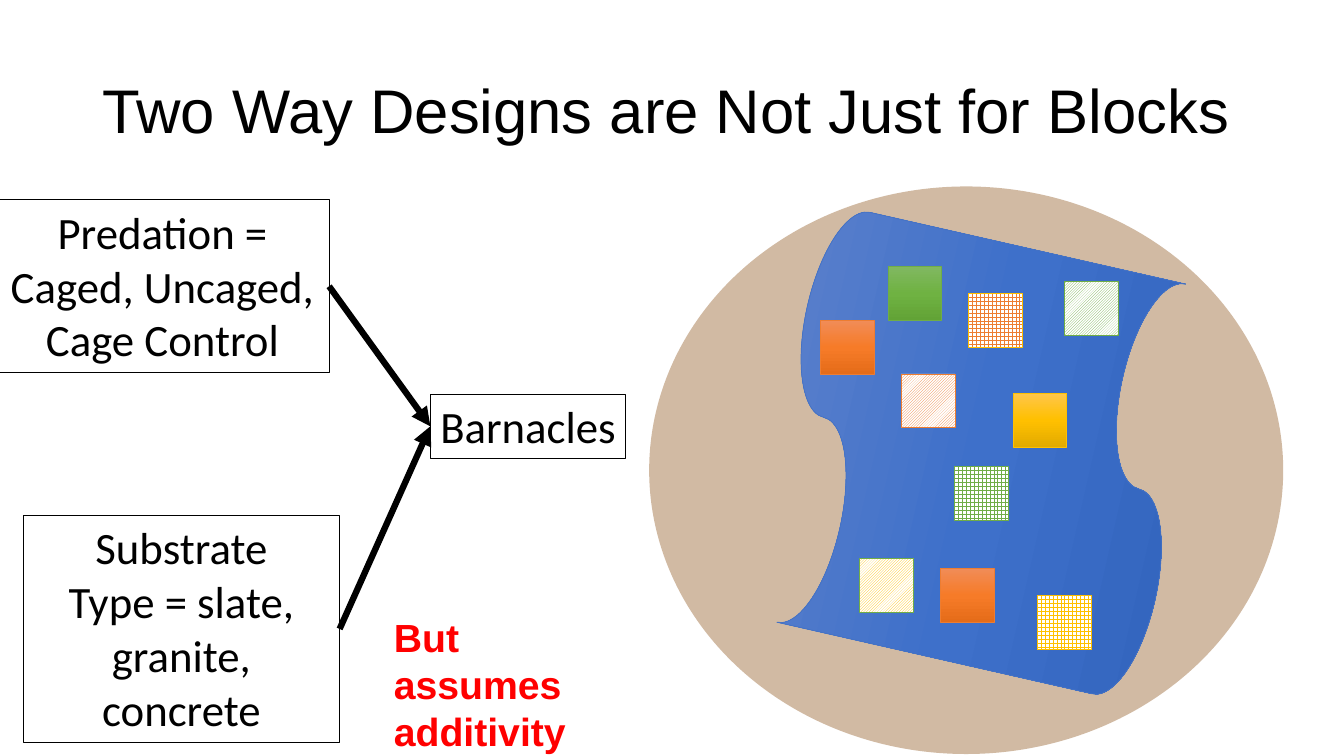
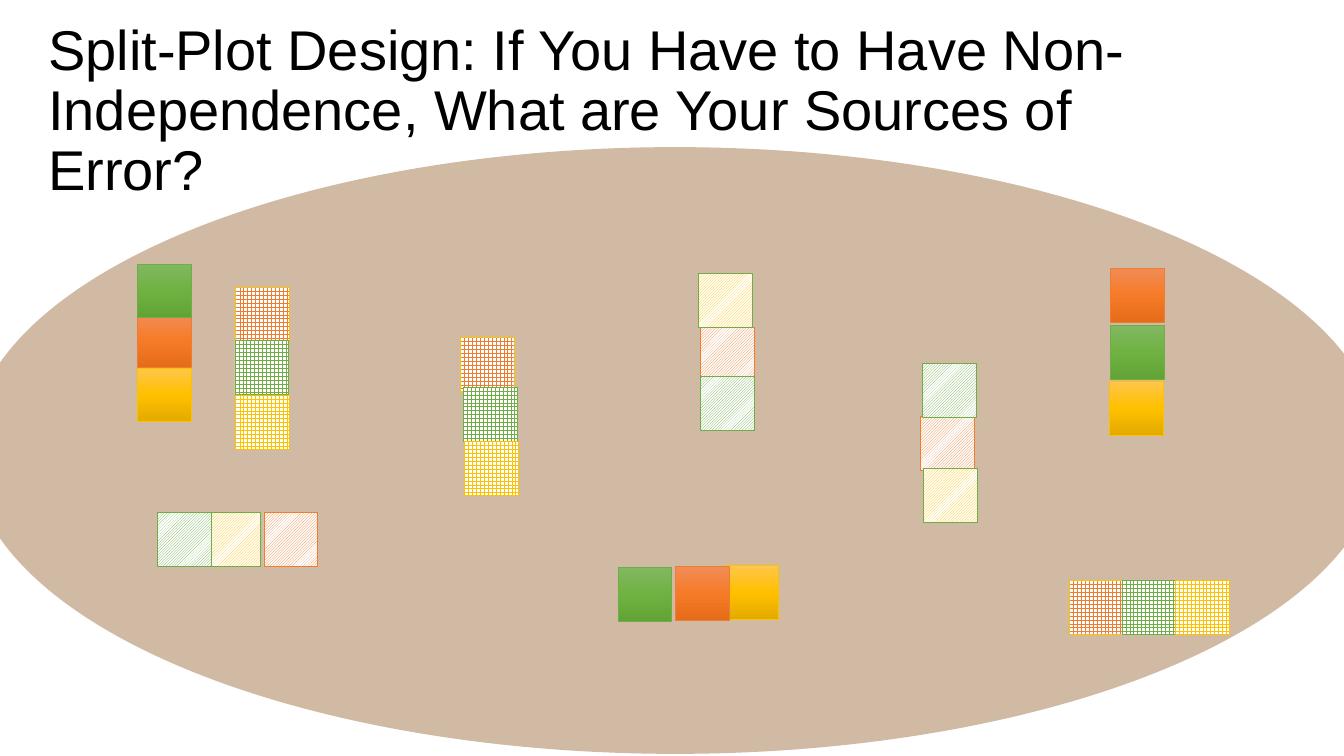
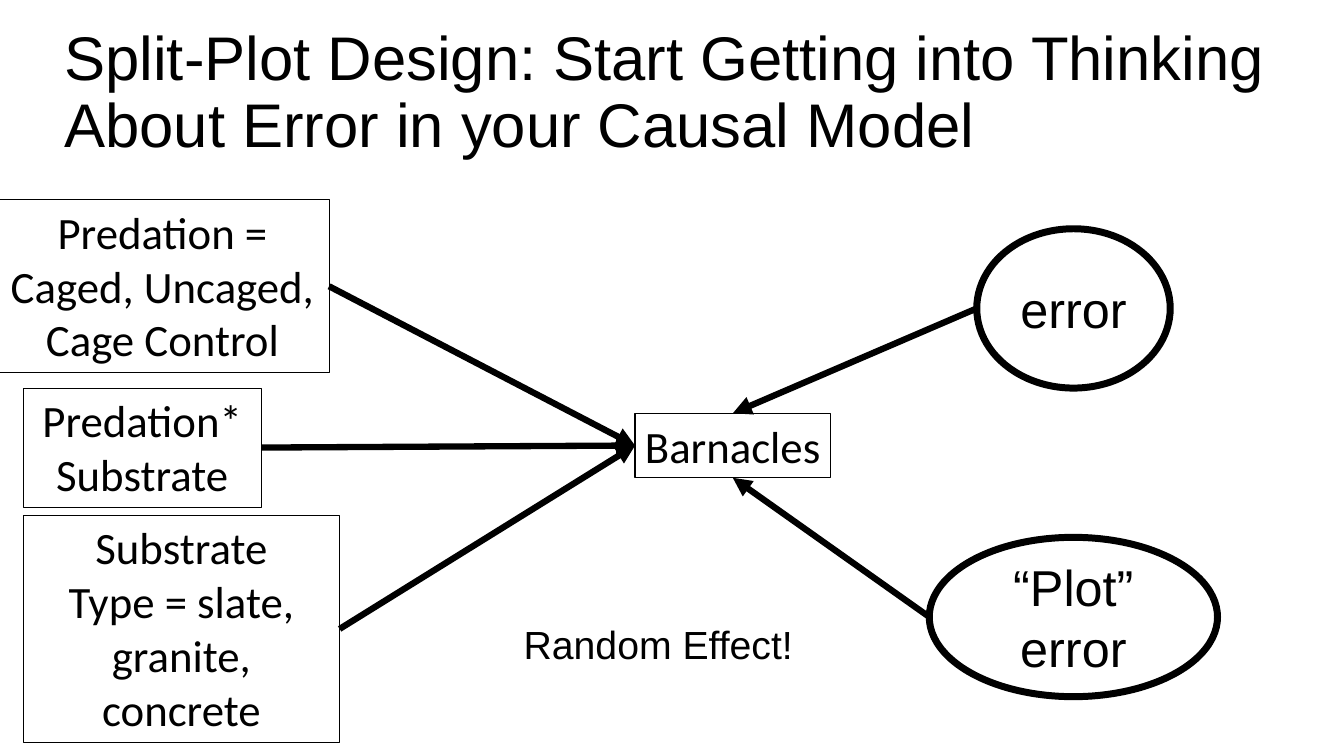
from copy import deepcopy

from lxml import etree
from pptx import Presentation
from pptx.dml.color import RGBColor
from pptx.enum.dml import MSO_PATTERN as PATTERN
from pptx.enum.shapes import MSO_CONNECTOR as CONNECTOR, MSO_SHAPE as SHAPE
from pptx.enum.text import MSO_ANCHOR as ANCHOR, MSO_AUTO_SIZE as AUTO, PP_ALIGN as ALIGN
from pptx.oxml.ns import qn
from pptx.util import Pt

# Colours
BLACK = RGBColor(0x00, 0x00, 0x00)
WHITE = RGBColor(0xFF, 0xFF, 0xFF)
RED = RGBColor(0xFF, 0x00, 0x00)
BROWN = RGBColor(0x99, 0x66, 0x33)
BLUE = RGBColor(0x44, 0x72, 0xC4)
ORANGE = RGBColor(0xED, 0x7D, 0x31)
GREEN = RGBColor(0x70, 0xAD, 0x47)
YELLOW = RGBColor(0xFF, 0xC0, 0x00)

# Gradient from top to bottom for each base colour
SHADES = {
    BLUE: (RGBColor(0x61, 0x83, 0xCB), RGBColor(0x3E, 0x70, 0xCA), RGBColor(0x30, 0x62, 0xBB)),
    ORANGE: (RGBColor(0xF1, 0x8C, 0x57), RGBColor(0xF6, 0x7B, 0x28), RGBColor(0xE5, 0x6C, 0x19)),
    GREEN: (RGBColor(0x81, 0xB8, 0x61), RGBColor(0x6F, 0xB2, 0x42), RGBColor(0x62, 0xA3, 0x36)),
    YELLOW: (RGBColor(0xFF, 0xC6, 0x4B), RGBColor(0xFF, 0xC0, 0x00), RGBColor(0xE3, 0xAB, 0x00)),
}

# Predation treatments: plain, gridded or hatched plots
SOLID, GRID, DIAG = "solid", "grid", "diag"
PATTERNS = {GRID: PATTERN.LARGE_GRID, DIAG: PATTERN.LIGHT_UPWARD_DIAGONAL}
EDGES = {(GRID, ORANGE): YELLOW, (DIAG, YELLOW): GREEN}
PLOT_SIZE = 38.5

# Text formats
TITLE = {"name": "Arial", "size": Pt(44)}
LONG_TITLE = {"name": "Arial", "size": Pt(40)}
FACTOR = {"name": "Calibri", "size": Pt(32)}
ERROR = {"name": "Arial", "size": Pt(36)}
NOTE = {"name": "Arial", "size": Pt(28)}
WARNING = {"name": "Arial", "size": Pt(28), "bold": True}

# Boxes of the causal model: left, top, width, height
PREDATION = (-2.9, 142.6, 238, 123.8)
SUBSTRATE = (16.6, 367.9, 226, 162.7)
INTERACTION = (16.6, 277.2, 170, 85)


def left(box):
    return box[0], box[1] + box[3] / 2


def right(box):
    return box[0] + box[2], box[1] + box[3] / 2


def top(box):
    return box[0] + box[2] / 2, box[1]


def bottom(box):
    return box[0] + box[2] / 2, box[1] + box[3]


class Deck:
    def __init__(self):
        self.prs = Presentation()
        self.prs.slide_width, self.prs.slide_height = Pt(960), Pt(540)
        self.s = None

    def slide(self):
        self.s = self.prs.slides.add_slide(self.prs.slide_layouts[6])

    def put_lines(self, sp, lines, style, color=BLACK, align=ALIGN.LEFT, spacing=None):
        tf = sp.text_frame
        for i, line in enumerate(lines):
            p = tf.paragraphs[0] if i == 0 else tf.add_paragraph()
            p.alignment = align
            if spacing:
                p.line_spacing = spacing
            r = p.add_run()
            r.text = line
            for name, value in style.items():
                setattr(r.font, name, value)
            r.font.color.rgb = color

    def text(self, box, lines, style, wrap=True, grow=True, **kw):
        sp = self.s.shapes.add_textbox(*map(Pt, box))
        sp.text_frame.word_wrap = wrap
        sp.text_frame.auto_size = AUTO.SHAPE_TO_FIT_TEXT if grow else AUTO.NONE
        self.put_lines(sp, lines, style, **kw)
        return sp

    def title(self, box, line, style=TITLE):
        sp = self.text(box, [line], style, grow=False, spacing=0.9)
        sp.text_frame.vertical_anchor = ANCHOR.MIDDLE

    def factor(self, box, *lines, wrap=True):
        sp = self.text(box, lines, FACTOR, wrap=wrap, align=ALIGN.CENTER)
        self.outline(sp, BLACK, 0.75)

    def outline(self, sp, color, width):
        sp.line.color.rgb = color
        sp.line.width = Pt(width)

    def shape(self, kind, box):
        sp = self.s.shapes.add_shape(kind, *map(Pt, box))
        sp.shadow.inherit = False
        return sp

    def shade(self, sp, color):
        sp.fill.gradient()
        sp.fill.gradient_angle = 270
        stop_list = sp.element.spPr.find(".//" + qn("a:gsLst"))
        stop_list.insert(1, deepcopy(stop_list[0]))
        for stop, rgb, position in zip(sp.fill.gradient_stops, SHADES[color], (0, 0.5, 1)):
            stop.color.rgb = rgb
            stop.position = position

    def shore(self, box):
        sp = self.shape(SHAPE.OVAL, box)
        sp.fill.solid()
        sp.fill.fore_color.rgb = BROWN
        rgb = sp.element.spPr.find(".//" + qn("a:srgbClr"))
        etree.SubElement(rgb, qn("a:alpha"), val="45000")
        sp.line.fill.background()

    def water(self, box, rotation):
        sp = self.shape(SHAPE.FLOWCHART_PUNCHED_TAPE, box)
        sp.rotation = rotation
        self.shade(sp, BLUE)
        self.outline(sp, BLUE, 0.5)

    def plot(self, treatment, color, x, y):
        sp = self.shape(SHAPE.RECTANGLE, (x, y, PLOT_SIZE, PLOT_SIZE))
        if treatment == SOLID:
            self.shade(sp, color)
        else:
            sp.fill.patterned()
            sp.fill.pattern = PATTERNS[treatment]
            sp.fill.fore_color.rgb = color
            sp.fill.back_color.rgb = WHITE
        self.outline(sp, EDGES.get((treatment, color), color), 0.5)

    def error(self, box, *lines):
        sp = self.shape(SHAPE.OVAL, box)
        sp.fill.background()
        self.outline(sp, BLACK, 5)
        sp.text_frame.vertical_anchor = ANCHOR.MIDDLE
        self.put_lines(sp, lines, ERROR, align=ALIGN.CENTER)

    def arrow(self, start, end):
        cxn = self.s.shapes.add_connector(CONNECTOR.STRAIGHT, *map(Pt, start + end))
        self.outline(cxn, BLACK, 4.5)
        props = cxn.element.spPr
        etree.SubElement(props.find(qn("a:ln")), qn("a:tailEnd"), type="triangle")
        etree.SubElement(props, qn("a:effectLst"))

    def causes(self, barnacles):
        """Both factors and the response, with their arrows."""
        self.factor(barnacles, "Barnacles", wrap=False)
        self.factor(SUBSTRATE, "Substrate", "Type = slate, granite, concrete")
        self.factor(PREDATION, "Predation = Caged, Uncaged, Cage Control")
        for box in (PREDATION, SUBSTRATE):
            self.arrow(right(box), left(barnacles))


def two_way(d):
    d.slide()
    d.title((66, 28.8, 828, 104.4), "Two Way Designs are Not Just for Blocks")

    # Shore with scattered plots
    d.shore((463.7, 133.2, 452.9, 405.4))
    d.water((550.8, 179.3, 300.2, 288.7), 282.8)
    for plot in (
        (SOLID, ORANGE, 586.1, 229), (SOLID, GREEN, 634.3, 190.4),
        (GRID, ORANGE, 691.9, 209.5), (DIAG, ORANGE, 643.7, 267.1),
        (DIAG, YELLOW, 614.2, 398.9), (SOLID, YELLOW, 723.6, 280.8),
        (GRID, GREEN, 681.8, 333.4), (GRID, YELLOW, 740.9, 425.5),
        (SOLID, ORANGE, 671.8, 406.1), (DIAG, GREEN, 760.3, 200.9),
    ):
        d.plot(*plot)

    # Causal model
    d.causes((307.4, 281.5, 139.7, 46.1))
    d.text((274.3, 434.2, 182.2, 74.9), ["But assumes additivity"], WARNING, color=RED)


def split_plot(d):
    d.slide()
    d.shore((-21.6, 105.1, 1008, 433.4))
    d.title((27.4, 1.4, 828, 157.7),
            "Split-Plot Design: If You Have to Have Non-Independence, "
            "What are Your Sources of Error?", LONG_TITLE)

    # Each block holds one treatment; later plots overlap earlier ones
    blocks = (
        (SOLID, (ORANGE, 97.9, 223.9), (GREEN, 97.9, 188.6), (YELLOW, 97.9, 262.8)),
        (GRID, (ORANGE, 168.5, 205.2), (GREEN, 167.8, 243.4), (YELLOW, 168.5, 282.2)),
        (DIAG, (ORANGE, 188.6, 365.8), (YELLOW, 147.6, 365.8), (GREEN, 112.3, 365.8)),
        (SOLID, (GREEN, 441.4, 405.4), (YELLOW, 517.7, 403.9), (ORANGE, 482.4, 404.6)),
        (GRID, (ORANGE, 329, 241.2), (GREEN, 331.2, 276.5), (YELLOW, 331.9, 315.4)),
        (DIAG, (ORANGE, 500.4, 234), (YELLOW, 499, 195.1), (GREEN, 500.4, 268.6)),
        (SOLID, (ORANGE, 793.4, 191.5), (GREEN, 793.4, 232.6), (YELLOW, 792.7, 272.2)),
        (GRID, (ORANGE, 763.9, 414.7), (GREEN, 801.4, 414.7), (YELLOW, 839.5, 414.7)),
        (DIAG, (ORANGE, 657.4, 297.4), (YELLOW, 659.5, 334.8), (GREEN, 658.8, 259.9)),
    )
    for treatment, *plots in blocks:
        for plot in plots:
            d.plot(treatment, *plot)


def error_model(d):
    d.slide()
    d.title((38.9, 15.1, 891.4, 104.4),
            "Split-Plot Design: Start Getting into Thinking About Error in your Causal Model")

    # Fixed effects
    barnacles = (453.6, 295.2, 139.7, 46.1)
    d.causes(barnacles)
    d.factor(INTERACTION, "Predation*Substrate")
    d.arrow(right(INTERACTION), left(barnacles))

    # Error sources
    residual = (697.7, 163.4, 138.2, 113.8)
    plot_error = (663.8, 383.8, 205.9, 113.8)
    d.error(residual, "error")
    d.error(plot_error, "“Plot”", "error")
    d.arrow(left(plot_error), bottom(barnacles))
    d.arrow(left(residual), top(barnacles))
    d.text((306.7, 439.2, 326.9, 41), ["Random Effect!"], NOTE, align=ALIGN.CENTER)


def main():
    d = Deck()
    two_way(d)
    split_plot(d)
    error_model(d)
    d.prs.save("out.pptx")


if __name__ == "__main__":
    main()
